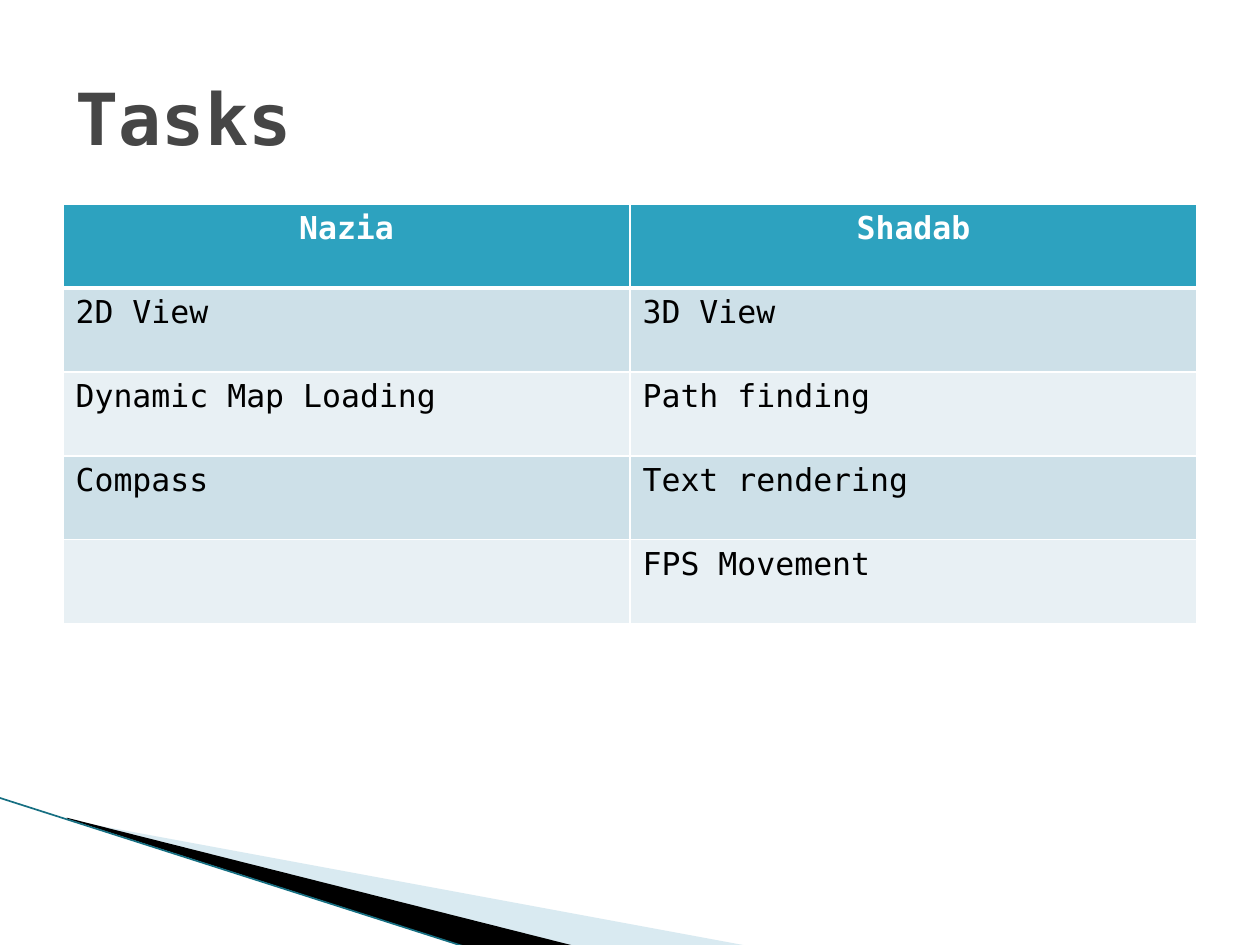
from lxml import etree
from pptx import Presentation
from pptx.dml.color import RGBColor
from pptx.enum.shapes import MSO_CONNECTOR
from pptx.enum.text import MSO_ANCHOR, PP_ALIGN
from pptx.oxml.ns import qn
from pptx.util import Inches, Pt

STRAIGHT = MSO_CONNECTOR.STRAIGHT
MIDDLE = MSO_ANCHOR.MIDDLE
LEFT, CENTER = PP_ALIGN.LEFT, PP_ALIGN.CENTER
FONT = "DejaVu Sans Mono"
HEADER_FILL = "2DA2BF"
BAND_FILLS = ["CDE0E8", "E8F0F4"]
TASKS = [
    ["Nazia", "Shadab"],
    ["2D View", "3D View"],
    ["Dynamic Map Loading", "Path finding"],
    ["Compass", "Text rendering"],
    ["", "FPS Movement"],
]
WEDGES = [
    ("A0CBDC", 40, [(5.5, 86.8), (59.5, 100.13), (45.6, 100.13), (5.5, 86.67)]),
    ("000000", 100, [(5.3, 86.53), (45.7, 100.13), (37.2, 100.27), (5.4, 86.67)]),
]
EDGE = [(-0.1, 84.4), (37.1, 100.27)]


def color(value):
    return RGBColor.from_string(value)


def share(box, across, down):
    left, top, width, height = box
    return round(left + width * across / 100), round(top + height * down / 100)


def sub_box(box, across, down, wide, high):
    return *share(box, across, down), *share((0, 0, *box[2:]), wide, high)


def add_run(paragraph, text, size, fill, bold, alignment=LEFT):
    paragraph.alignment = alignment
    run = paragraph.add_run()
    run.text = text
    run.font.name = FONT
    run.font.size = Pt(size)
    run.font.bold = bold
    run.font.color.rgb = color(fill)


def add_corner(slide, box):
    for fill, opacity, points in WEDGES:
        corners = [share(box, *point) for point in points]
        builder = slide.shapes.build_freeform(*corners[0])
        builder.add_line_segments(corners[1:], close=True)
        wedge = builder.convert_to_shape()
        wedge.shadow.inherit = False
        wedge.fill.solid()
        wedge.fill.fore_color.rgb = color(fill)
        wedge.line.fill.background()
        if opacity < 100:
            color_element = wedge.fill._xPr.find(qn("a:solidFill"))[0]
            etree.SubElement(color_element, qn("a:alpha"), val=str(opacity * 1000))

    start, end = (share(box, *point) for point in EDGE)
    edge = slide.shapes.add_connector(STRAIGHT, *start, *end)
    edge.line.color.rgb = color("166F82")
    edge.line.width = Pt(0.95)
    etree.SubElement(edge._element.spPr, qn("a:effectLst"))


def add_borders(cell, bottom_width):
    properties = cell._tc.get_or_add_tcPr()
    widths = {"lnL": 1, "lnR": 1, "lnT": 1, "lnB": bottom_width}
    for position, (side, width) in enumerate(widths.items()):
        border = etree.Element(qn(f"a:{side}"), w=str(Pt(width)))
        fill = etree.SubElement(border, qn("a:solidFill"))
        etree.SubElement(fill, qn("a:srgbClr"), val="FFFFFF")
        properties.insert(position, border)


def add_tasks(slide, box):
    table = slide.shapes.add_table(len(TASKS), len(TASKS[0]), *box).table
    for row_index, names in enumerate(TASKS):
        header = row_index == 0
        fill = HEADER_FILL if header else BAND_FILLS[(row_index - 1) % 2]
        for column_index, name in enumerate(names):
            cell = table.cell(row_index, column_index)
            cell.fill.solid()
            cell.fill.fore_color.rgb = color(fill)
            add_borders(cell, 3 if header else 1)
            if name:
                add_run(cell.text_frame.paragraphs[0], name, 18,
                        "FFFFFF" if header else "000000", header,
                        CENTER if header else LEFT)


def add_title(slide, box):
    title = slide.shapes.title
    title.left, title.top, title.width, title.height = box
    title.text_frame.vertical_anchor = MIDDLE
    add_run(title.text_frame.paragraphs[0], "Tasks", 41, "464646", True)


def main():
    presentation = Presentation()
    presentation.slide_width = Inches(10)
    presentation.slide_height = Inches(7.5)
    slide = presentation.slides.add_slide(presentation.slide_layouts[5])
    page = (0, 0, presentation.slide_width, presentation.slide_height)
    add_corner(slide, page)
    add_tasks(slide, sub_box(page, 5, 21.6, 90, 44.4))
    add_title(slide, sub_box(page, 5, 4, 90, 16.67))
    presentation.save("out.pptx")


if __name__ == "__main__":
    main()
